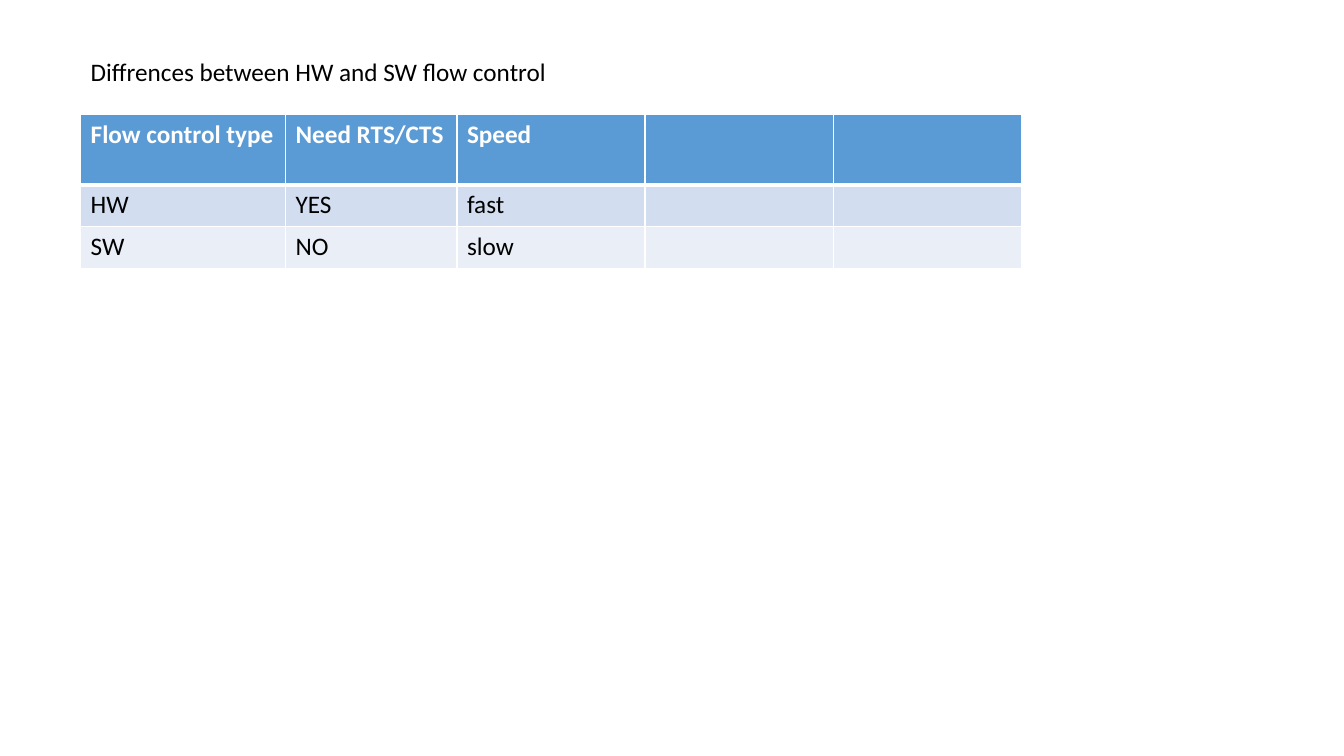
"""Build a slide with a table comparing hardware and software flow control."""
from lxml import etree
from pptx import Presentation
from pptx.dml.color import RGBColor
from pptx.enum import text
from pptx.oxml.ns import qn
from pptx.util import Pt

HEADING = "Diffrences between HW and SW flow control"
COMPARISON = [
    ("Flow control type", "Need RTS/CTS", "Speed", "", ""),
    ("HW", "YES", "fast", "", ""),
    ("SW", "NO", "slow", "", ""),
]
ROW_STYLES = [("5B9BD5", "FFFFFF"), ("D2DEEF", "000000"), ("EAEFF7", "000000")]
COLUMN_WIDTHS = [146.4, 122.4, 134.4, 134.4, 134.4]
ROW_HEIGHTS = [50.4, 30, 30]
LEFT = 57.6


def rgb(value):
    return RGBColor.from_string(value)


def style_text(paragraph, color, bold=False):
    font = paragraph.font
    font.name, font.size, font.bold = "Calibri", Pt(18), bold
    font.color.rgb = rgb(color)


def add_borders(cell, bottom_width):
    properties = cell._tc.get_or_add_tcPr()
    for side, width in (("L", 1), ("R", 1), ("T", 1), ("B", bottom_width)):
        line = etree.SubElement(properties, qn(f"a:ln{side}"), w=str(Pt(width)))
        fill = etree.SubElement(line, qn("a:solidFill"))
        etree.SubElement(fill, qn("a:srgbClr"), val="FFFFFF")


deck = Presentation()
deck.slide_width, deck.slide_height = Pt(960), Pt(540)
slide = deck.slides.add_slide(deck.slide_layouts[5])

heading = slide.shapes.title
heading.left, heading.top, heading.width, heading.height = Pt(LEFT), Pt(36.7), Pt(480), Pt(29)
heading.text = HEADING
frame = heading.text_frame
frame.word_wrap = True
frame.auto_size = text.MSO_AUTO_SIZE.SHAPE_TO_FIT_TEXT
frame.vertical_anchor = text.MSO_ANCHOR.TOP
frame.paragraphs[0].alignment = text.PP_ALIGN.LEFT
style_text(frame.paragraphs[0], "000000")

comparison = slide.shapes.add_table(
    len(COMPARISON), len(COLUMN_WIDTHS), Pt(LEFT), Pt(81.6),
    Pt(sum(COLUMN_WIDTHS)), Pt(sum(ROW_HEIGHTS))).table
for column, width in zip(comparison.columns, COLUMN_WIDTHS):
    column.width = Pt(width)
for index, (row, words) in enumerate(zip(comparison.rows, COMPARISON)):
    row.height = Pt(ROW_HEIGHTS[index])
    background, ink = ROW_STYLES[index]
    is_header = index == 0
    for cell, word in zip(row.cells, words):
        cell.text = word
        style_text(cell.text_frame.paragraphs[0], ink, is_header)
        add_borders(cell, 3 if is_header else 1)
        cell.fill.solid()
        cell.fill.fore_color.rgb = rgb(background)

deck.save("out.pptx")
